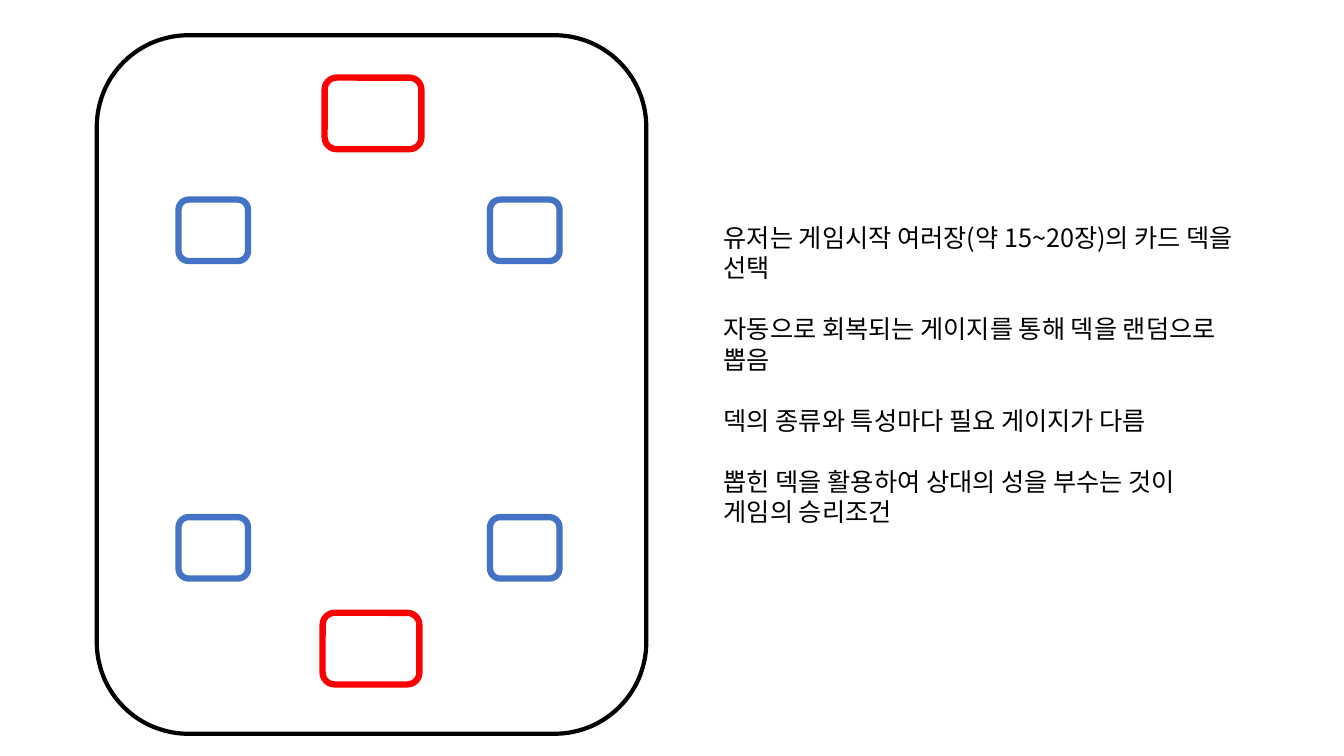
from lxml.etree import SubElement
from pptx import Presentation
from pptx.dml.color import RGBColor
from pptx.enum.shapes import MSO_SHAPE
from pptx.enum.text import MSO_AUTO_SIZE
from pptx.oxml.ns import qn
from pptx.util import Inches, Pt

BLACK = RGBColor(0x00, 0x00, 0x00)
WHITE = RGBColor(0xFF, 0xFF, 0xFF)
RED = RGBColor(0xFF, 0x00, 0x00)
BLUE = RGBColor(0x44, 0x72, 0xC4)
FONT = "Noto Sans CJK KR"
LINE_HEIGHT = Pt(21.8)

# Content: game rules, with \v as a line break inside a rule
RULES = [
    "유저는 게임시작 여러장(약 15~20장)의 카드 덱을\v선택",
    "자동으로 회복되는 게이지를 통해 덱을 랜덤으로 \v뽑음 ",
    "덱의 종류와 특성마다 필요 게이지가 다름",
    "뽑힌 덱을 활용하여 상대의 성을 부수는 것이 \v게임의 승리조건 ",
]

# Game board, in inches
BOARD = (0.96, 0.35, 5.45, 6.93)
CASTLE_SIZE = (0.96, 0.71)
CASTLES = [(3.22, 0.77), (3.2, 6.08)]
TOWER_SIZE = (0.69, 0.61)
TOWER_COLUMNS = (1.77, 4.86)
TOWER_ROWS = (1.98, 5.13)
RULES_BOX = (7.08, 2.15, 5.83, 3.13)

deck = Presentation()
deck.slide_width, deck.slide_height = Inches(13.33), Inches(7.5)
page = deck.slides.add_slide(deck.slide_layouts[6])


def add_outline(bounds, color, weight):
    box = page.shapes.add_shape(MSO_SHAPE.ROUNDED_RECTANGLE, *map(Inches, bounds))
    box.shadow.inherit = False
    box.fill.solid()
    box.fill.fore_color.rgb = WHITE
    box.line.color.rgb = color
    box.line.width = Pt(weight)


# Board, castles and towers
add_outline(BOARD, BLACK, 3)
for castle in CASTLES:
    add_outline(castle + CASTLE_SIZE, RED, 4.5)
for top in TOWER_ROWS:
    for left in TOWER_COLUMNS:
        add_outline((left, top) + TOWER_SIZE, BLUE, 4.5)

# Rules, one empty line's height apart
frame = page.shapes.add_textbox(*map(Inches, RULES_BOX)).text_frame
frame.word_wrap = False
frame.auto_size = MSO_AUTO_SIZE.SHAPE_TO_FIT_TEXT
for index, rule in enumerate(RULES):
    para = frame.add_paragraph() if index else frame.paragraphs[0]
    para.text = rule
    para.line_spacing = LINE_HEIGHT
    para.space_before = LINE_HEIGHT if index else Pt(0)
    para.font.size = Pt(18)
    para.font.color.rgb = BLACK
    para.font.name = FONT
    for span in para.runs:  # East Asian typeface for the Korean text
        SubElement(span.font._element if hasattr(span.font, "_element")
                   else span._r.get_or_add_rPr(), qn("a:ea"), typeface=FONT)

deck.save("out.pptx")
